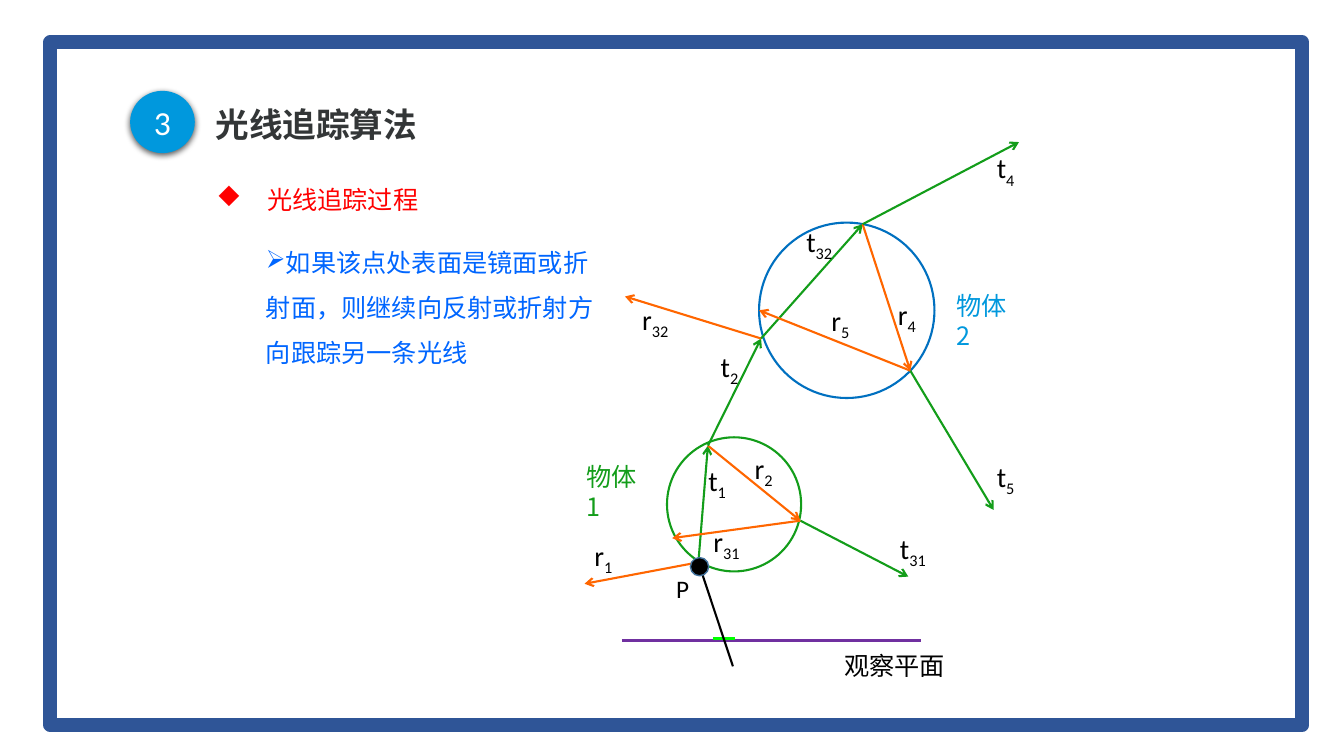
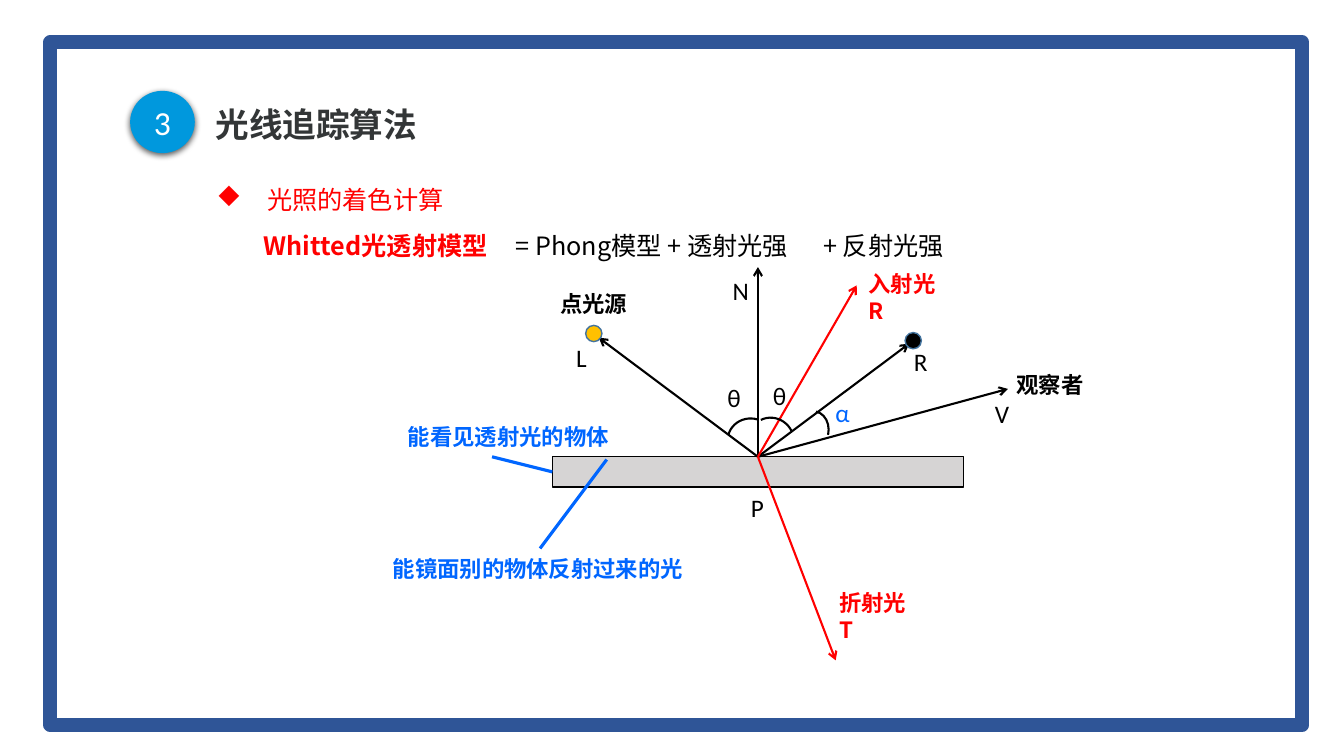
from lxml import etree
from pptx import Presentation
from pptx.dml.color import RGBColor
from pptx.enum.shapes import MSO_CONNECTOR, MSO_SHAPE
from pptx.enum.text import MSO_ANCHOR, PP_ALIGN
from pptx.oxml.ns import qn
from pptx.util import Cm, Pt

STRAIGHT = MSO_CONNECTOR.STRAIGHT
RECTANGLE, OVAL, ARC = MSO_SHAPE.RECTANGLE, MSO_SHAPE.OVAL, MSO_SHAPE.ARC
MIDDLE, CENTER = MSO_ANCHOR.MIDDLE, PP_ALIGN.CENTER
TOP_SIDE, LEFT_SIDE = 0, 1

COLORS = {
    "white": "FFFFFF", "black": "000000", "frame": "2F5597", "title": "333637",
    "cyan": "0098DD", "red": "FF0000", "blue": "0066FF", "green": "139D1A",
    "orange": "FF6600", "sphere": "0070C0", "purple": "7030A0", "lime": "00FF00",
    "slab": "D6D4D4", "gold": "FFC000", "dot": "43739E",
}
LATIN, CHINESE = "Calibri", "Noto Sans CJK SC"


def style(size, name, color, bold=False):
    return {"size": size, "name": name, "color": color, "bold": bold}


STYLES = {
    "title": style(24, CHINESE, "title", True),
    "badge": style(24, LATIN, "white"),
    "heading": style(18, CHINESE, "red"),
    "body": style(18, CHINESE, "blue"),
    "model": style(18, CHINESE, "red", True),
    "terms": style(18, CHINESE, "black"),
    "ray": style(20, LATIN, "black"),
    "letter": style(18, LATIN, "black"),
    "angle": style(18, LATIN, "blue"),
    "object 1": style(18, CHINESE, "green"),
    "object 2": style(18, CHINESE, "cyan"),
    "role": style(16, CHINESE, "black", True),
    "light": style(16, CHINESE, "red", True),
    "note": style(16, CHINESE, "blue", True),
}

TITLE, NUMBER = "光线追踪算法", "3"
TRACING_HEADING = "光线追踪过程"
TRACING_TEXT = "如果该点处表面是镜面或折射面，则继续向反射或折射方向跟踪另一条光线"
SHADING_HEADING = "光照的着色计算"
FORMULA = [("Whitted光透射模型", "model"),
           ("\t= Phong模型 + 透射光强\t+ 反射光强", "terms")]
FORMULA_TABS = (6.35, 14.1)

POINTS = {
    "eye": (18.47, 16.79), "P": (17.6, 14.17),
    "top 1": (17.84, 11.23), "right 1": (20.17, 13.12),
    "left 2": (19.18, 8.53), "top 2": (21.74, 5.65), "right 2": (22.94, 9.34),
    "r1": (14.73, 14.71), "r31": (16.94, 13.56), "t31": (22.89, 14.53),
    "r32": (15.75, 7.47), "t4": (25.68, 3.58), "t5": (25.04, 12.85),
    "r5": (19.13, 7.82),
}
RAYS = [
    ("eye", "P", "black"), ("P", "r1", "orange"), ("P", "top 1", "green"),
    ("top 1", "right 1", "orange"), ("right 1", "t31", "green"),
    ("right 1", "r31", "orange"), ("top 1", "left 2", "green"),
    ("left 2", "r32", "orange"), ("left 2", "top 2", "green"),
    ("top 2", "right 2", "orange"), ("right 2", "t5", "green"),
    ("right 2", "r5", "orange"), ("top 2", "t4", "green"),
]
SPHERES = [(16.81, 11.02, 3.38, "green"), (19.13, 5.61, 4.42, "sphere")]
PLANE_MARKS = [((15.67, 16.13), (23.22, 16.13), "purple"),
               ((17.98, 16.08), (18.52, 16.08), "lime")]
TRACING_LABELS = [
    ("r_1", 14.73, 13.44, "ray"), ("t_1", 17.6, 11.56, "ray"),
    ("r_2", 18.77, 11.25, "ray"), ("t_2", 17.91, 8.69, "ray"),
    ("r_31", 17.73, 13.08, "ray"), ("r_32", 15.93, 7.49, "ray"),
    ("t_31", 22.43, 13.26, "ray"), ("t_32", 20.07, 5.54, "ray"),
    ("r_4", 22.38, 7.37, "ray"), ("t_4", 24.87, 3.68, "ray"),
    ("r_5", 20.7, 7.52, "ray"), ("t_5", 24.87, 11.46, "ray"),
    ("P", 16.79, 14.33, "letter"), ("观察平面", 21.03, 16.27, "terms"),
    ("物体1", 14.53, 11.5, "object 1", 2), ("物体2", 23.85, 7.18, "object 2", 2),
]

SLAB = (13.92, 11.51, 10.36, 0.76)
VECTORS = [
    ((19.1, 6.73), "black"), ((15.09, 8.51), "black"), ((22.91, 8.66), "black"),
    ((25.4, 9.8), "black"), ((21.06, 16.64), "red"), ((21.59, 7.19), "red"),
]
ARCS = [(18.36, 10.52, 1.14, 1.19, 286.3), (18.87, 10.52, 1.14, 1.19, 333.6),
        (20.04, 10.36, 0.84, 1.02, 12)]
LAMPS = [(14.76, 8.2, "gold"), (22.81, 8.38, "black")]
SHADING_LABELS = [
    ("点光源", 13.87, 7.18, "role"), ("观察者", 25.37, 9.23, "role"),
    ("L", 14.27, 8.51, "letter"), ("R", 22.78, 8.61, "letter"),
    ("N", 18.21, 6.81, "letter"), ("P", 18.67, 12.27, "letter"),
    ("V", 24.82, 9.91, "letter"), ("θ", 18.08, 9.5, "letter"),
    ("θ", 19.23, 9.47, "letter"), ("α", 20.8, 9.88, "angle"),
    ("入射光R", 21.64, 6.69, "light", 2.4), ("折射光T", 20.9, 14.72, "light", 2.4),
    ("能看见透射光的物体", 10.03, 10.53, "note"),
    ("能镜面别的物体反射过来的光", 9.65, 13.86, "note"),
]


def rgb(color):
    return RGBColor.from_string(COLORS[color])


def add_xml(parent, tag, **attributes):
    return etree.SubElement(parent, qn(tag), attributes)


def add_shape(slide, kind, box, fill=None, line=None, width=1):
    shape = slide.shapes.add_shape(kind, *map(Cm, box))
    shape.shadow.inherit = False
    if fill:
        shape.fill.solid()
        shape.fill.fore_color.rgb = rgb(fill)
    else:
        shape.fill.background()
    if line:
        shape.line.color.rgb = rgb(line)
        shape.line.width = Pt(width)
    else:
        shape.line.fill.background()
    return shape


def add_line(slide, start, end, color, width=1.5, arrow=True):
    connector = slide.shapes.add_connector(STRAIGHT, *map(Cm, start + end))
    connector.line.color.rgb = rgb(color)
    connector.line.width = Pt(width)
    if arrow:
        add_xml(connector.line._get_or_add_ln(), "a:tailEnd", type="arrow")
    add_xml(connector._element.spPr, "a:effectLst")
    return connector


def add_run(paragraph, text, style_name, subscript=False):
    look = STYLES[style_name]
    run = paragraph.add_run()
    run.text = text
    run.font.color.rgb = rgb(look["color"])
    values = {"size": Pt(look["size"]), "name": look["name"], "bold": look["bold"]}
    for attribute, value in values.items():
        setattr(run.font, attribute, value)
    properties = run._r.get_or_add_rPr()
    if look["name"] == CHINESE:
        add_xml(properties, "a:ea", typeface=CHINESE)
    if subscript:
        properties.set("baseline", "-25000")


def add_text(slide, box, runs, spacing=1.2):
    shape = slide.shapes.add_textbox(*map(Cm, box))
    shape.text_frame.word_wrap = True
    paragraph = shape.text_frame.paragraphs[0]
    look = STYLES[runs[0][1]]
    if look["name"] == CHINESE:
        paragraph.line_spacing = Pt(look["size"] * spacing)
    for run in runs:
        add_run(paragraph, *run)
    return shape


def add_bullet(shape, character, margin=0, indent=0):
    properties = shape.text_frame.paragraphs[0]._p.get_or_add_pPr()
    properties.set("marL", str(Cm(margin)))
    properties.set("indent", str(Cm(indent)))
    add_xml(properties, "a:buFont", typeface="Wingdings", charset="2")
    add_xml(properties, "a:buChar", char=character)


def add_labels(slide, labels):
    for text, left, top, style_name, *width in labels:
        base, _, index = text.partition("_")
        runs = [(base, style_name)]
        if index:
            runs.append((index, style_name, True))
        natural = len(base + index) * Pt(STYLES[style_name]["size"]).cm + 0.7
        add_text(slide, (left, top, width[0] if width else natural, 1.02), runs)


def add_badge(slide):
    badge = add_shape(slide, OVAL, (3.28, 2.29, 1.63, 1.57), "cyan")
    effects = badge._element.spPr.find(qn("a:effectLst"))
    shadow = add_xml(effects, "a:outerShdw", blurRad=str(Pt(4.5)),
                     dist=str(Pt(1.5)), dir="5400000", rotWithShape="0")
    color = add_xml(shadow, "a:srgbClr", val=COLORS["black"])
    add_xml(color, "a:alpha", val="63000")
    frame = badge.text_frame
    frame.vertical_anchor = MIDDLE
    frame.paragraphs[0].alignment = CENTER
    add_run(frame.paragraphs[0], NUMBER, "badge")


def add_base_slide(presentation, heading):
    slide = presentation.slides.add_slide(presentation.slide_layouts[6])
    add_shape(slide, RECTANGLE, (1.27, 1.07, 31.55, 17.2), "white", "frame", 10)
    add_badge(slide)
    title = add_text(slide, (5.18, 2.36, 21.21, 1.55), [(TITLE, "title")])
    title.text_frame.vertical_anchor = MIDDLE
    box = add_text(slide, (3.94, 4.53, 20.65, 1.02), [(heading, "heading")])
    add_bullet(box, "u", 2.54, -1.27)
    return slide


def build_tracing(presentation):
    slide = add_base_slide(presentation, TRACING_HEADING)
    body = add_text(slide, (6.45, 5.72, 8.97, 3.71), [(TRACING_TEXT, "body")], 1.8)
    add_bullet(body, "Ø")
    for start, end, color in PLANE_MARKS:
        add_line(slide, start, end, color, 2.25, False)
    for left, top, size, color in SPHERES:
        add_shape(slide, OVAL, (left, top, size, size), None, color, 1.5)
    for start, end, color in RAYS:
        add_line(slide, POINTS[start], POINTS[end], color)
    add_shape(slide, OVAL, (17.4, 14.05, 0.46, 0.46), "black", "dot")
    add_labels(slide, TRACING_LABELS)


def build_shading(presentation):
    slide = add_base_slide(presentation, SHADING_HEADING)
    formula = add_text(slide, (6.4, 5.68, 20.68, 1.02), FORMULA)
    properties = formula.text_frame.paragraphs[0]._p.get_or_add_pPr()
    tabs = add_xml(properties, "a:tabLst")
    for position in FORMULA_TABS:
        add_xml(tabs, "a:tab", pos=str(Cm(position)), algn="l")

    slab = add_shape(slide, RECTANGLE, SLAB, "slab", "black")
    left, top, width, height = SLAB
    for end, color in VECTORS:
        vector = add_line(slide, (left + width / 2, top), end, color)
        vector.begin_connect(slab, TOP_SIDE)
    pointer = add_line(slide, (12.4, 11.51), (left, top + height / 2),
                       "blue", 2.25, False)
    pointer.end_connect(slab, LEFT_SIDE)
    add_line(slide, (13.61, 13.82), (15.29, 11.58), "blue", 2.25, False)
    for *box, rotation in ARCS:
        arc = add_shape(slide, ARC, box, None, "black", 1.5)
        arc.rotation = rotation
    for lamp_left, lamp_top, color in LAMPS:
        add_shape(slide, OVAL, (lamp_left, lamp_top, 0.41, 0.41), color, "dot")
    add_labels(slide, SHADING_LABELS)


def main():
    presentation = Presentation()
    presentation.slide_width = Cm(33.87)
    presentation.slide_height = Cm(19.05)
    build_tracing(presentation)
    build_shading(presentation)
    presentation.save("out.pptx")


if __name__ == "__main__":
    main()
